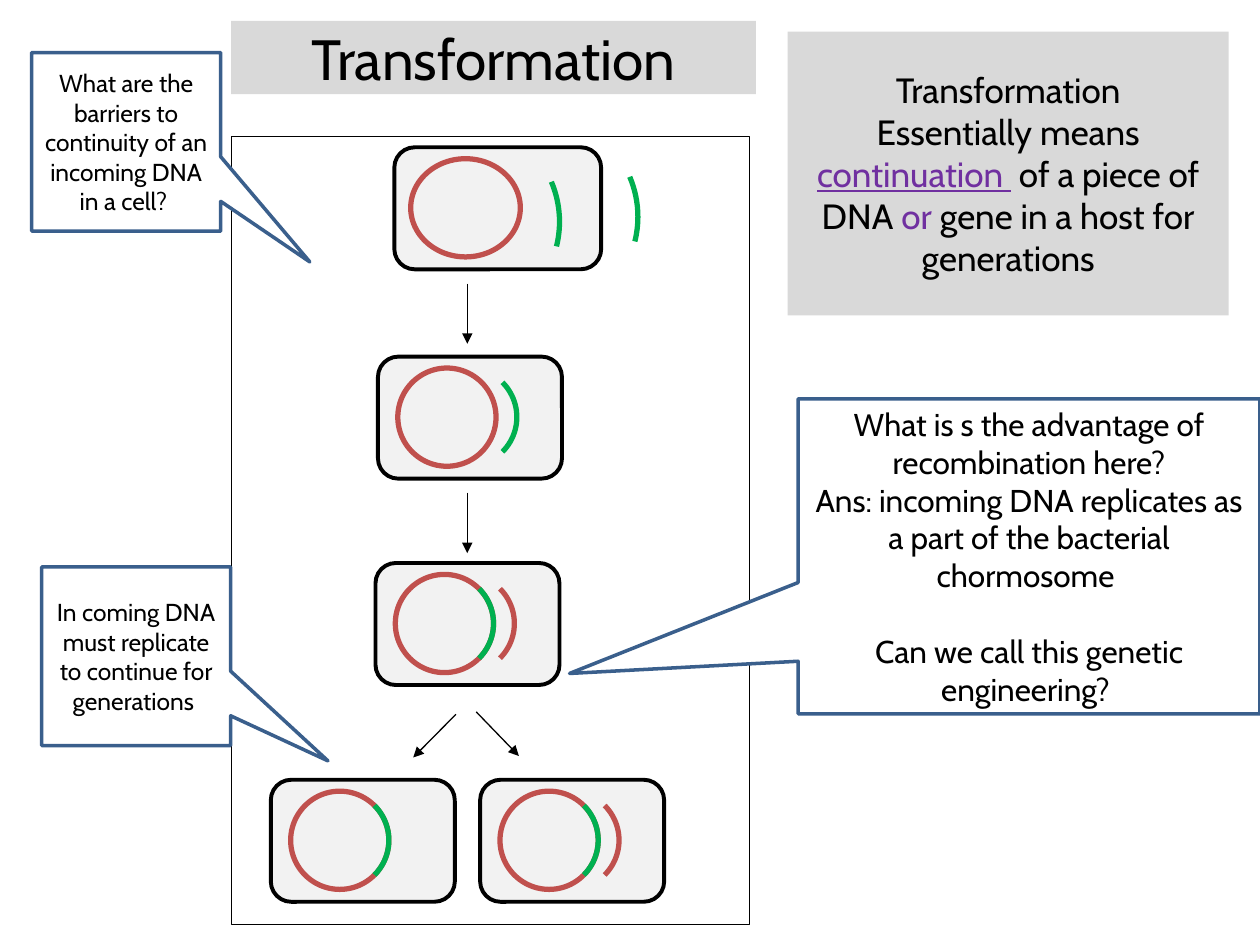
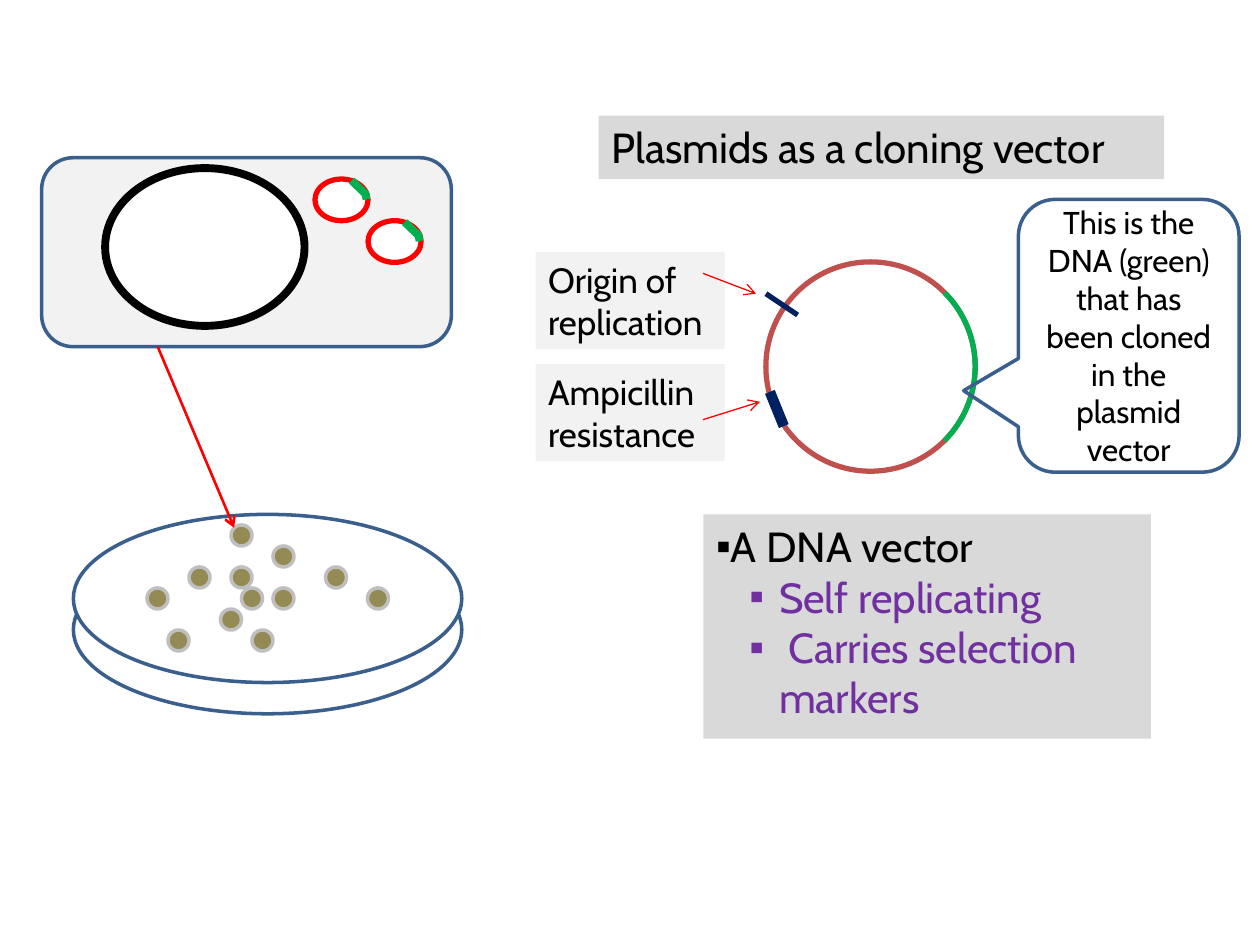
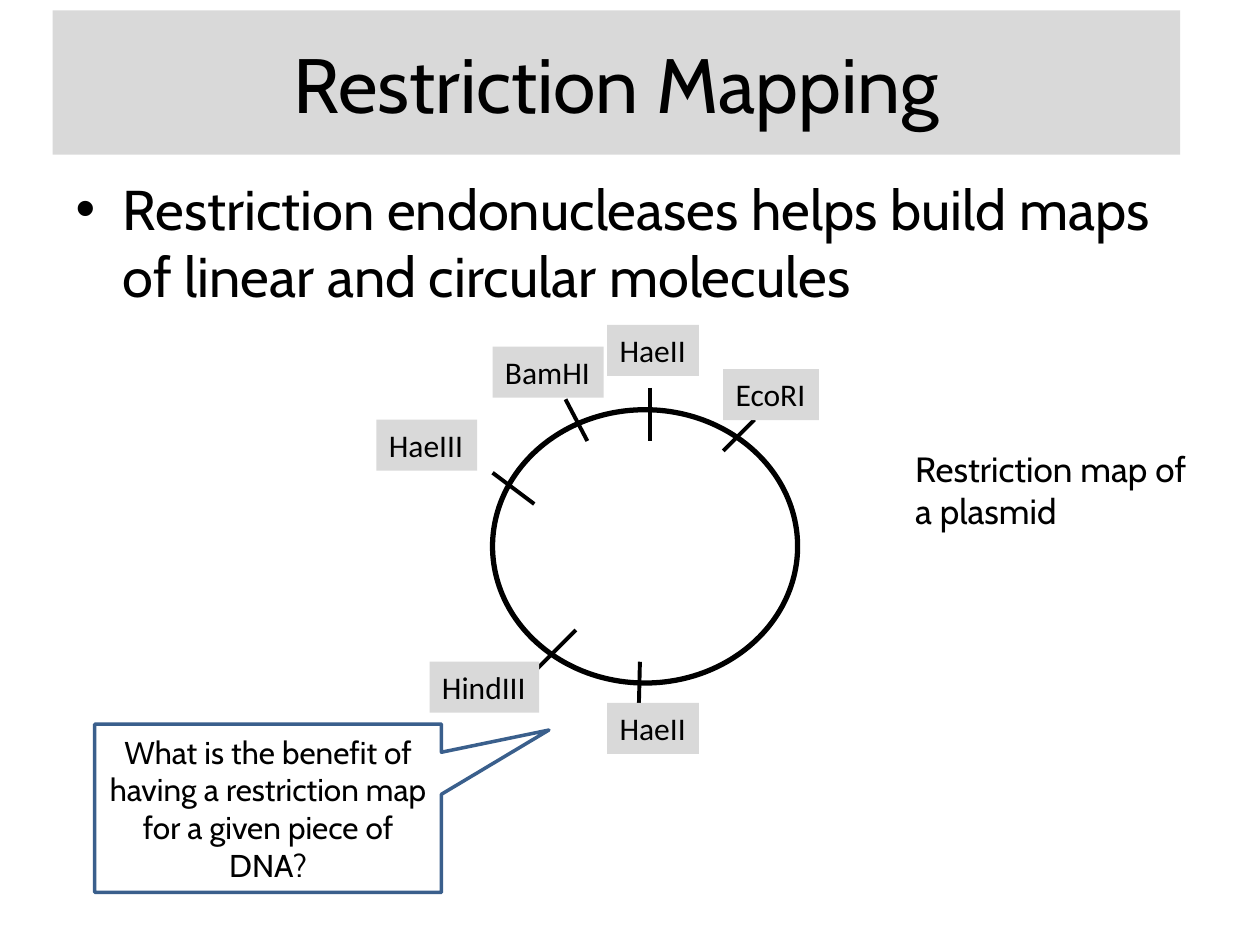
from dataclasses import dataclass

from lxml import etree
from pptx import Presentation
from pptx.dml.color import RGBColor
from pptx.enum import shapes, text
from pptx.oxml.ns import qn
from pptx.util import Cm, Pt

BLACK, WHITE, BAND, PALE = "000000", "FFFFFF", "D9D9D9", "F2F2F2"
BRICK, GREEN, RED = "C0504D", "00B050", "FF0000"
BLUE, NAVY, PURPLE = "3A5F8C", "002060", "7030A0"
COLONY, HALO = "948A54", "BFBFBF"
FONT = "Cabin"
GRID = 2.54 / 12
KIND = shapes.MSO_SHAPE
LEFT, CENTER = text.PP_ALIGN.LEFT, text.PP_ALIGN.CENTER
TOP, MIDDLE = text.MSO_ANCHOR.TOP, text.MSO_ANCHOR.MIDDLE

Box = tuple[float, float, float, float]
Point = tuple[float, float]


@dataclass
class Run:
    text: str
    color: str
    underline: bool = False


@dataclass
class Para:
    runs: str | list[Run]
    color: str = BLACK
    level: int = 0
    before: float | None = None


@dataclass
class Line:
    start: Point
    end: Point
    color: str = BLACK
    width: float = 0.75
    head: str | None = None


@dataclass
class Callout:
    box: Box
    tip: tuple[float, ...]
    paras: list[Para]
    size: float = 18
    kind: KIND = KIND.RECTANGULAR_CALLOUT


@dataclass
class Cell:
    """A bacterium; its chromosome may hold a green insert beside a loose strand."""
    left: float
    top: float
    insert: bool
    loose: str | None


@dataclass
class Site:
    name: str
    left: float
    top: float
    width: float
    tick: tuple[Point, Point]


def rgb(color: str) -> RGBColor:
    return RGBColor.from_string(color)


def set_fill(sp, color: str | None) -> None:
    if color:
        sp.fill.solid()
        sp.fill.fore_color.rgb = rgb(color)
    else:
        sp.fill.background()


def set_line(sp, color: str | None, width: float) -> None:
    if color:
        sp.line.color.rgb = rgb(color)
        sp.line.width = Pt(width)
    else:
        sp.line.fill.background()


def draw(slide, kind: KIND, box: Box, fill: str | None = None,
         line: str | None = None, width: float = 2):
    sp = slide.shapes.add_shape(kind, *map(Cm, box))
    sp.shadow.inherit = False
    set_fill(sp, fill)
    set_line(sp, line, width)
    return sp


def write(tf, paras: list[Para], size: float, align=LEFT, anchor=TOP,
          font: str = FONT, wrap: bool = True) -> None:
    tf.word_wrap = wrap
    tf.vertical_anchor = anchor
    for i, para in enumerate(paras):
        p = tf.paragraphs[0] if i == 0 else tf.add_paragraph()
        p.alignment = align
        p.level = para.level
        if para.before is not None:
            p.space_before = Pt(para.before)
        p.font.name, p.font.size = font, Pt(size)
        p.font.color.rgb = rgb(para.color)
        if isinstance(para.runs, str):
            p.add_run().text = para.runs
            continue
        for run in para.runs:
            r = p.add_run()
            r.text = run.text
            if run.color != para.color:
                r.font.color.rgb = rgb(run.color)
            if run.underline:
                r.font.underline = True


def place(sp, box: Box, fill: str | None = None) -> None:
    """Move a placeholder and switch off its text shrinking."""
    sp.left, sp.top, sp.width, sp.height = map(Cm, box)
    set_fill(sp, fill)
    sp.text_frame.auto_size = text.MSO_AUTO_SIZE.NONE


def set_title(slide, words: str, box: Box, size: float,
              align=CENTER, anchor=MIDDLE) -> None:
    sp = slide.shapes.title
    place(sp, box, BAND)
    write(sp.text_frame, [Para(words)], size, align, anchor)


def set_bullet(p, left: float, indent: float, char: str) -> None:
    p_pr = p._p.get_or_add_pPr()
    p_pr.set("marL", str(Cm(left)))
    p_pr.set("indent", str(Cm(indent)))
    bullet = etree.Element(qn("a:buChar"), char=char)
    p_pr.find(qn("a:defRPr")).addprevious(bullet)


def add_label(slide, words: str, box: Box, size: float, fill: str | None = None,
              font: str = FONT, wrap: bool = True) -> None:
    sp = slide.shapes.add_textbox(*map(Cm, box))
    set_fill(sp, fill)
    write(sp.text_frame, [Para(words)], size, font=font, wrap=wrap)


def add_line(slide, line: Line) -> None:
    ends = map(Cm, line.start + line.end)
    sp = slide.shapes.add_connector(shapes.MSO_CONNECTOR.STRAIGHT, *ends)
    set_line(sp, line.color, line.width)
    if line.head:
        etree.SubElement(sp.line._get_or_add_ln(), qn("a:tailEnd"), type=line.head)
    etree.SubElement(sp._element.spPr, qn("a:effectLst"))


def add_callout(slide, callout: Callout, fill: str | None = WHITE) -> None:
    sp = draw(slide, callout.kind, callout.box, fill, BLUE)
    for i, value in enumerate(callout.tip):
        sp.adjustments[i] = value
    write(sp.text_frame, callout.paras, callout.size, CENTER, MIDDLE)


def around(center: Point, radius: float) -> Box:
    x, y = center
    return x - radius, y - radius, 2 * radius, 2 * radius


def add_ring(slide, center: Point, radius: float) -> None:
    draw(slide, KIND.OVAL, around(center, radius), line=BRICK, width=3)


def add_arc(slide, center: Point, radius: float, color: str,
            start: float = -45, end: float = 45) -> None:
    """Draw a clockwise arc; angles are degrees from three o'clock."""
    sp = draw(slide, KIND.ARC, around(center, radius), line=color, width=3)
    for i, angle in enumerate((start, end)):
        sp.adjustments[i] = angle % 360 * 0.6


def add_cell(slide, cell: Cell) -> None:
    radius = 0.99
    draw(slide, KIND.ROUNDED_RECTANGLE, (cell.left, cell.top, 3.71, 2.46),
         PALE, BLACK, 2.25)
    x, y = cell.left + 1.39, cell.top + 1.22
    add_ring(slide, (x, y), radius)
    if cell.loose:
        add_arc(slide, (x + 0.42, y), radius, cell.loose)
    if cell.insert:
        add_arc(slide, (x, y), radius, GREEN)


def transformation_slide(prs) -> None:
    slide = prs.slides.add_slide(prs.slide_layouts[5])
    set_title(slide, "Transformation", (4.66, 0.42, 10.58, 1.48), 32.4)
    draw(slide, KIND.RECTANGLE, (4.66, 2.75, 10.44, 15.88), WHITE, BLACK, 0.25)

    draw(slide, KIND.ROUNDED_RECTANGLE, (7.95, 2.97, 4.17, 2.46), PALE, BLACK, 2.25)
    draw(slide, KIND.OVAL, (8.28, 3.2, 2.21, 1.98), PALE, BRICK, 3)
    for center in ((9.22, 4.47), (10.8, 4.37)):
        add_arc(slide, center, 2.06, GREEN, -23, 14)

    for cell in (
        Cell(7.62, 7.19, False, GREEN),
        Cell(7.57, 11.35, True, BRICK),
        Cell(5.46, 15.72, True, None),
        Cell(9.68, 15.72, True, BRICK),
    ):
        add_cell(slide, cell)
    for start, end in (
        ((9.42, 5.72), (9.42, 6.93)),
        ((9.42, 9.93), (9.42, 11.15)),
        ((9.6, 14.35), (10.46, 15.24)),
        ((9.19, 14.4), (8.33, 15.27)),
    ):
        add_line(slide, Line(start, end, head="triangle"))

    meaning = draw(slide, KIND.RECTANGLE, (15.88, 0.64, 8.89, 5.72), BAND)
    write(meaning.text_frame, [
        Para("Transformation"),
        Para([
            Run("Essentially means ", BLACK),
            Run("continuation ", PURPLE, True),
            Run(" of a piece of DNA ", BLACK),
            Run("or", PURPLE),
            Run(" gene in a host for generations", BLACK),
        ]),
    ], 20, CENTER, MIDDLE)

    for callout in (
        Callout((0.64, 1.06, 3.81, 3.6), (0.972, 0.673), [
            Para("What are the barriers to continuity of an incoming DNA in a cell? "),
        ], 14),
        Callout((0.84, 11.43, 3.81, 3.6), (1.015, 0.586), [
            Para("In coming DNA must replicate to continue for generations "),
        ], 14),
        Callout((16.09, 8.04, 9.31, 6.35), (-0.995, 0.372), [
            Para("What is s the advantage of recombination here?"),
            Para("Ans: incoming DNA replicates as a part of the bacterial chormosome "),
            Para("Can we call this genetic engineering? ", before=21.6),
        ]),
    ):
        add_callout(slide, callout)


def add_dish(slide) -> None:
    for top in (11, 10.37):
        draw(slide, KIND.OVAL, (1.48, top, 7.83, 3.39), WHITE, BLUE)
    colonies = ((31, 54), (23, 56), (35, 56), (24, 60), (26, 56), (21, 58),
                (22, 50), (18, 54), (26, 52), (16, 60), (22, 54), (14, 56))
    for col, row in colonies:
        draw(slide, KIND.OVAL, (col * GRID, row * GRID, 2 * GRID, 2 * GRID),
             COLONY, HALO)


def add_host(slide) -> None:
    """Draw the bacterium with its chromosome and two plasmids."""
    draw(slide, KIND.ROUNDED_RECTANGLE, (0.84, 3.18, 8.26, 3.81), PALE, BLUE)
    draw(slide, KIND.OVAL, (2.12, 3.39, 4.02, 3.18), WHITE, BLACK, 4.5)
    for x, y in ((7.42, 4.45), (6.35, 3.61)):
        draw(slide, KIND.OVAL, (x, y, 1.07, 0.84), WHITE, RED, 3)
        insert = slide.shapes.build_freeform(Cm(x + 0.74), Cm(y + 0.03))
        insert.add_line_segments(
            [(Cm(x + 1.02), Cm(y + 0.3)), (Cm(x + 1.04), Cm(y + 0.41))], close=False)
        sp = insert.convert_to_shape()
        sp.shadow.inherit = False
        set_fill(sp, None)
        set_line(sp, GREEN, 4.5)


def vector_slide(prs) -> None:
    slide = prs.slides.add_slide(prs.slide_layouts[1])
    set_title(slide, "Plasmids as a cloning vector", (12.07, 2.33, 11.4, 1.28), 24,
              LEFT, TOP)
    body = slide.placeholders[1]
    place(body, (14.18, 10.37, 9.02, 4.52), BAND)
    write(body.text_frame, [
        Para("A DNA vector", before=0),
        Para("Self replicating", PURPLE, 1, 0),
        Para(" Carries selection markers", PURPLE, 1, 0),
    ], 24)
    for p in body.text_frame.paragraphs:
        left, indent = (1.27, -0.6) if p.level else (0, 0)
        set_bullet(p, left, indent, "▪")

    add_dish(slide)
    add_host(slide)
    center, radius = (17.55, 7.39), 2.11
    add_ring(slide, center, radius)
    add_arc(slide, center, radius, GREEN)
    for words, top in (("Origin of replication", 5.08), ("Ampicillin resistance", 7.34)):
        add_label(slide, words, (10.8, top, 3.81, 1.96), 20, PALE)
    for line in (
        Line((3.18, 6.99), (4.72, 10.64), RED, 1.5, "arrow"),
        Line((15.44, 5.92), (16.08, 6.35), NAVY, 3),
        Line((15.52, 7.9), (15.8, 8.59), NAVY, 6),
        Line((14.17, 5.51), (15.24, 5.92), RED, head="arrow"),
        Line((14.17, 8.46), (15.32, 8.1), RED, head="arrow"),
    ):
        add_line(slide, line)
    add_callout(slide, Callout((20.53, 4.02, 4.45, 5.5), (-0.748, 0.201, 0.167), [
        Para("This is the DNA (green) that has been cloned in the plasmid vector"),
    ], kind=KIND.ROUNDED_RECTANGULAR_CALLOUT), fill=None)


def mapping_slide(prs) -> None:
    slide = prs.slides.add_slide(prs.slide_layouts[1])
    set_title(slide, "Restriction Mapping", (1.06, 0.21, 22.73, 2.91), 44)
    body = slide.placeholders[1]
    place(body, (1.27, 3.39, 22.73, 11.63))
    write(body.text_frame, [
        Para("Restriction endonucleases helps build maps of linear and circular molecules"),
    ], 32)

    draw(slide, KIND.OVAL, (9.93, 8.26, 6.15, 5.51), WHITE, BLACK, 3)
    for site in (
        Site("EcoRI", 14.58, 7.44, 1.93, ((15.21, 8.46), (14.58, 9.09))),
        Site("HaeII", 12.24, 6.55, 1.85, ((13.11, 7.82), (13.11, 8.89))),
        Site("BamHI", 9.93, 6.99, 2.24, ((11.4, 8.05), (11.84, 8.89))),
        Site("HaeIII", 7.59, 8.46, 2.03, ((9.93, 9.53), (10.77, 10.16))),
        Site("HindIII", 8.66, 13.34, 2.21, ((11.61, 12.7), (10.77, 13.54))),
        Site("HaeII", 12.24, 14.17, 1.85, ((12.9, 13.34), (12.88, 14.17))),
    ):
        add_line(slide, Line(*site.tick, width=2.25))
        add_label(slide, site.name, (site.left, site.top, site.width, 1.03), 18,
                  BAND, "Calibri", wrap=False)

    add_label(slide, "Restriction map of a plasmid", (18.2, 8.89, 6.15, 1.96), 20)
    add_callout(slide, Callout((1.91, 14.6, 6.99, 3.39), (0.81, -0.465), [
        Para("What is the benefit of having a restriction map for a given piece of DNA?"),
    ]))


def main() -> None:
    prs = Presentation()
    prs.slide_width, prs.slide_height = Cm(25.4), Cm(19.05)
    transformation_slide(prs)
    vector_slide(prs)
    mapping_slide(prs)
    prs.save("out.pptx")


if __name__ == "__main__":
    main()
